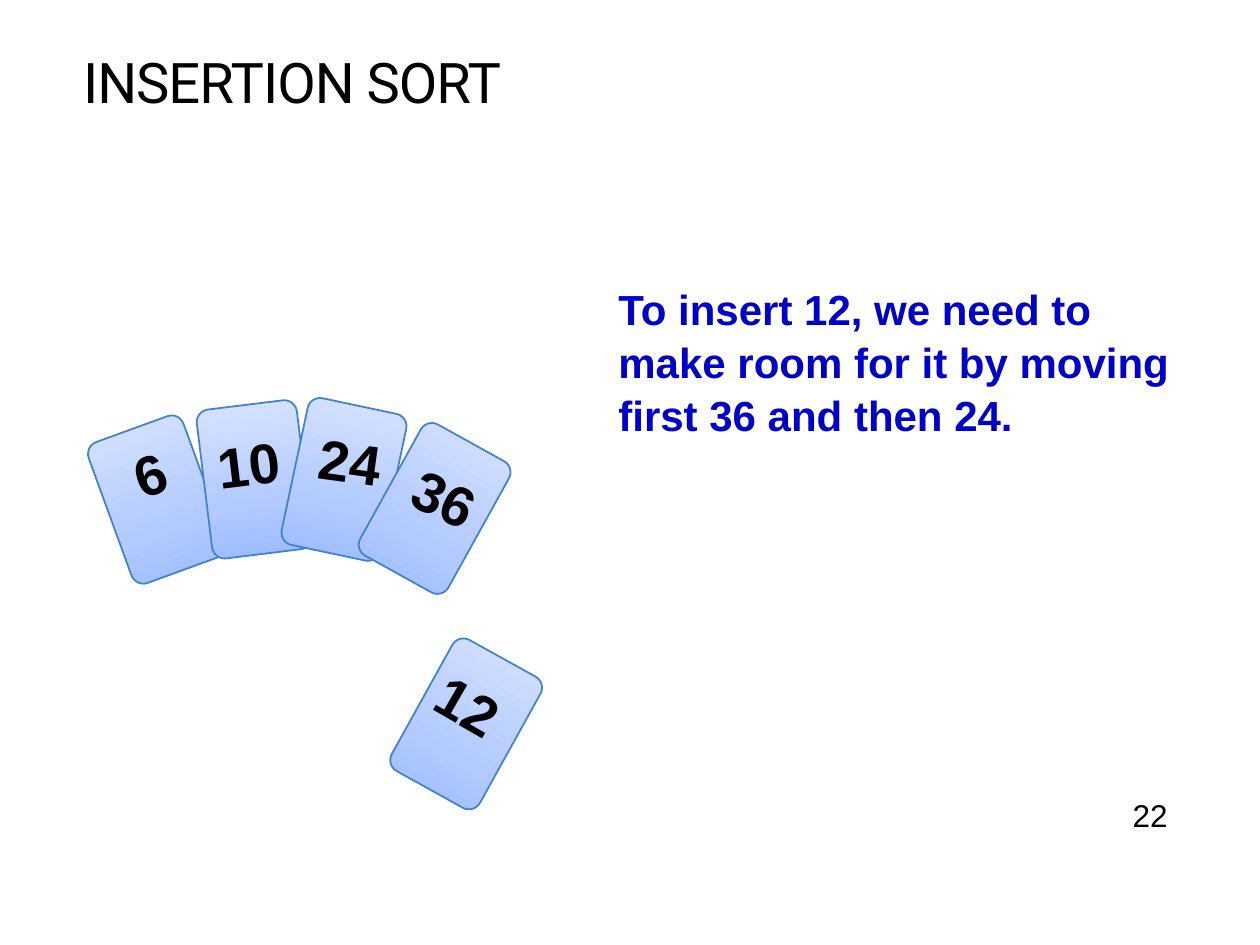
from copy import deepcopy

from pptx import Presentation
from pptx.dml.color import RGBColor
from pptx.enum import shapes, text
from pptx.util import Inches, Pt

# Gradient runs from the bottom of a card to its top
STOPS = [(0, "98B9FF"), (0.35, "B2CAFF"), (1, "D9E4FF")]
CARD_W, CARD_H = 0.8, 1.19
LABEL_H = 0.63

# value, card (left, top, rotation), label (left, top, width, rotation)
CARDS = [
    ("6", (0.85, 3.37, 340), (0.97, 3.44, 0.45, 341)),
    ("10", (1.62, 3.21, 353), (1.63, 3.36, 0.7, 353)),
    ("24", (2.33, 3.21, 12), (2.44, 3.34, 0.7, 8)),
    ("12", (3.3, 5.15, 29), (3.37, 5.28, 0.7, 30)),
    ("36", (3.05, 3.44, 29), (3.19, 3.63, 0.7, 25)),
]


def rgb(value):
    return RGBColor.from_string(value)


def write(tf, content, color="000000", **fmt):
    """Put one run into a text frame and format it."""
    p = tf.paragraphs[0]
    p.alignment = text.PP_ALIGN.LEFT
    r = p.add_run()
    r.text = content
    r.font.color.rgb = rgb(color)
    for name, value in fmt.items():
        setattr(r.font, name, value)
    return r


def add_text(s, box, content, wrap=True, spacing=1.0, **fmt):
    sp = s.shapes.add_textbox(*map(Inches, box))
    tf = sp.text_frame
    tf.word_wrap = wrap
    write(tf, content, name="Arial", **fmt)
    tf.paragraphs[0].line_spacing = spacing
    return sp


def add_title(s, content):
    sp = s.shapes.title
    sp.left, sp.top, sp.width, sp.height = map(Inches, (0.56, 0.68, 6.92, 0.28))
    tf = sp.text_frame
    tf.auto_size = text.MSO_AUTO_SIZE.NONE
    tf.vertical_anchor = text.MSO_ANCHOR.BOTTOM
    r = write(tf, content, name="Roboto", size=Pt(32))
    r.font._element.set("spc", "-60")


def fill_gradient(sp):
    sp.fill.gradient()
    sp.fill.gradient_angle = 90
    # The default gradient has two stops; a third is needed
    first = sp._element.spPr.find(".//{*}gs")
    first.addnext(deepcopy(first))
    for stop, (position, color) in zip(sp.fill.gradient_stops, STOPS):
        stop.position = position
        stop.color.rgb = rgb(color)


def add_card(s, value, card, label):
    left, top, rotation = card
    sp = s.shapes.add_shape(shapes.MSO_SHAPE.ROUNDED_RECTANGLE,
                            *map(Inches, (left, top, CARD_W, CARD_H)))
    sp.adjustments[0] = 0.125
    sp.rotation = rotation
    sp.shadow.inherit = False
    fill_gradient(sp)
    sp.line.color.rgb = rgb("4081D2")
    sp.line.width = Pt(1)

    left, top, width, rotation = label
    box = add_text(s, (left, top, width, LABEL_H), value, wrap=False,
                   size=Pt(32), bold=True)
    box.rotation = rotation


def main():
    prs = Presentation()
    prs.slide_width, prs.slide_height = Inches(10), Inches(7.5)
    s = prs.slides.add_slide(prs.slide_layouts[5])

    # Title, explanation and page number
    add_title(s, "INSERTION SORT")
    add_text(s, (4.81, 2.18, 4.66, 1.72),
             "To insert 12, we need to make room for it by moving "
             "first 36 and then 24.",
             spacing=1.05, color="0000CC", size=Pt(24), bold=True)
    add_text(s, (8.89, 6.27, 0.67, 0.57), "22", size=Pt(18))

    # Hand of cards and the card to insert
    for value, card, label in CARDS:
        add_card(s, value, card, label)

    prs.save("out.pptx")


if __name__ == "__main__":
    main()
